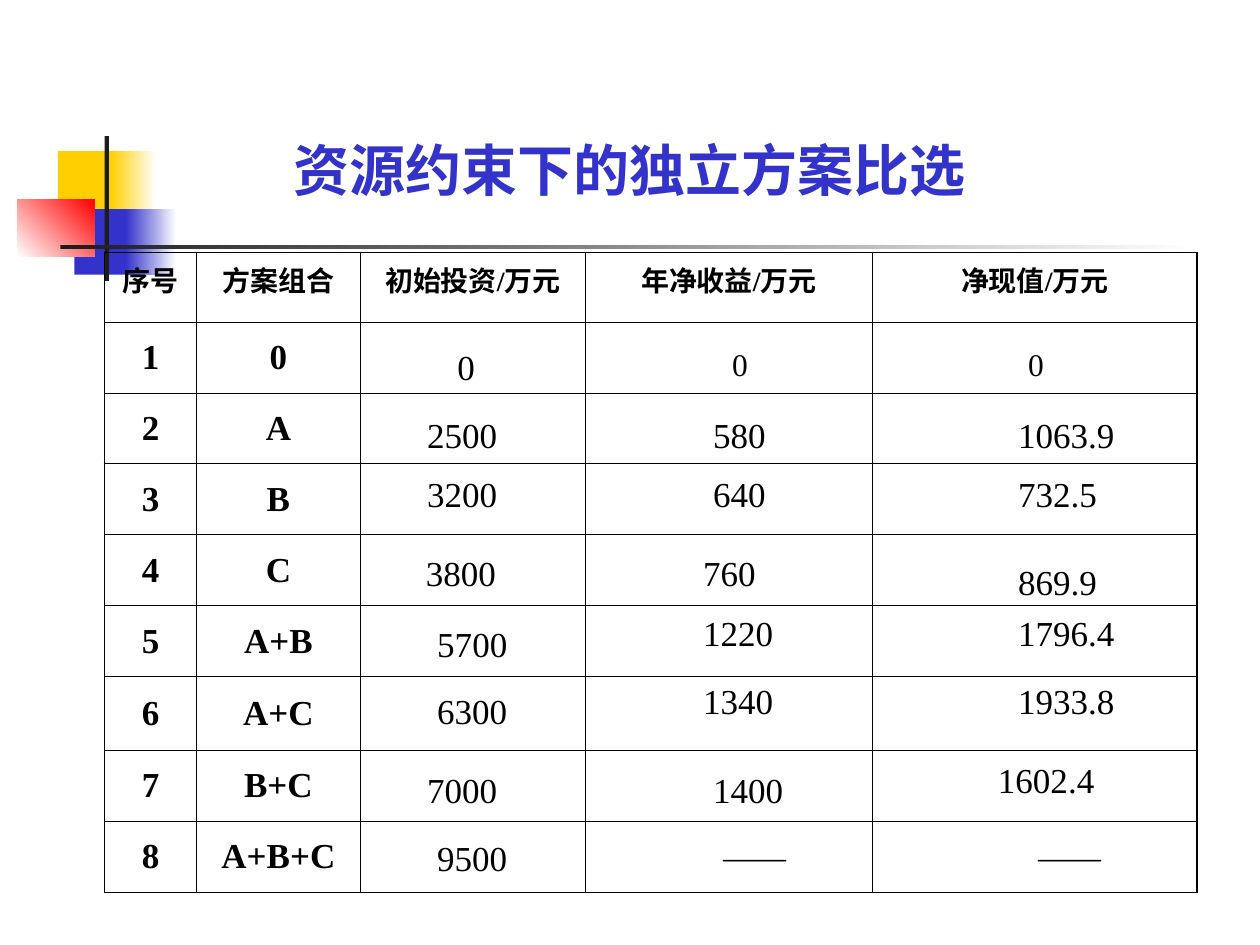
from lxml import etree
from pptx import Presentation
from pptx.dml.color import RGBColor
from pptx.enum.shapes import MSO_SHAPE
from pptx.enum.text import MSO_ANCHOR, MSO_AUTO_SIZE, PP_ALIGN
from pptx.oxml.ns import qn
from pptx.util import Inches, Pt

RECTANGLE = MSO_SHAPE.RECTANGLE
CENTER, LEFT = PP_ALIGN.CENTER, PP_ALIGN.LEFT
TOP, MIDDLE = MSO_ANCHOR.TOP, MSO_ANCHOR.MIDDLE
NO_AUTOFIT = MSO_AUTO_SIZE.NONE

THEME = {
    "font": "Times New Roman",
    "blue": "3333CC", "yellow": "FFCF01", "red": "FF0000",
    "dark": "1C1C1C", "white": "FFFFFF", "black": "000000",
    "title": 32, "header": 16, "body": 20, "small": 18,
    "outer_border": 1.08, "inner_border": 0.45,
}

presentation = Presentation()
presentation.slide_width, presentation.slide_height = Inches(10), Inches(7.5)
COLUMN = presentation.slide_width / 100
ROW = presentation.slide_height / 75
slide = presentation.slides.add_slide(presentation.slide_layouts[5])


def place(left, top, width, height):
    return [round(length) for length in
            (left * COLUMN, top * ROW, width * COLUMN, height * ROW)]


def write(frame, text, size, color="black", bold=False, align=LEFT):
    paragraph = frame.paragraphs[0]
    paragraph.text = text
    paragraph.alignment = align
    formats = {"name": THEME["font"], "size": Pt(THEME[size]), "bold": bold}
    for attribute, value in formats.items():
        setattr(paragraph.runs[0].font, attribute, value)
    paragraph.runs[0].font.color.rgb = RGBColor.from_string(THEME[color])


ornaments = [
    ((4.6, 12, 4.8, 5.2), ["yellow"], 0),
    ((8.8, 12, 3.6, 5.2), ["yellow", "white"], 0),
    ((5.9, 16.6, 4.6, 5.2), ["blue"], 0),
    ((10, 16.6, 4, 5.2), ["blue", "white"], 0),
    ((1.4, 15.8, 6.1, 4.6), ["white", "red"], 45),
    ((8.3, 10.8, 0.35, 11.5), ["dark"], 0),
    ((4.8, 19.45, 90, 0.35), ["dark", "white"], 0),
]
for box, colors, angle in ornaments:
    shape = slide.shapes.add_shape(RECTANGLE, *place(*box))
    shape.shadow.inherit = False
    shape.line.fill.background()
    if len(colors) == 1:
        shape.fill.solid()
        shape.fill.fore_color.rgb = RGBColor.from_string(THEME[colors[0]])
    else:
        shape.fill.gradient()
        shape.fill.gradient_angle = angle
        for stop, color in zip(shape.fill.gradient_stops, colors):
            stop.color.rgb = RGBColor.from_string(THEME[color])

title = slide.shapes.title
title.left, title.top, title.width, title.height = place(0, 10.2, 100, 6.4)
title.text_frame.auto_size = NO_AUTOFIT
title.text_frame.vertical_anchor = MIDDLE
write(title.text_frame, "资源约束下的独立方案比选", "title", "blue", True, CENTER)

headers = ["序号", "方案组合", "初始投资/万元", "年净收益/万元", "净现值/万元"]
combinations = ["0", "A", "B", "C", "A+B", "A+C", "B+C", "A+B+C"]
column_widths = [7.3, 13, 17.85, 22.8, 25.75]
row_heights = [5.5] + [5.63] * 5 + [5.87] + [5.63] * 2
cell_texts = [headers] + [[str(number), name, "", "", ""]
                          for number, name in enumerate(combinations, 1)]

table = slide.shapes.add_table(
    len(row_heights), len(column_widths),
    *place(8.3, 20.05, sum(column_widths), sum(row_heights))).table
table.first_row = False
table.horz_banding = False
for column, width in zip(table.columns, column_widths):
    column.width = round(width * COLUMN)
for row, height in zip(table.rows, row_heights):
    row.height = round(height * ROW)

last_row, last_column = len(row_heights) - 1, len(column_widths) - 1
for row_index, texts in enumerate(cell_texts):
    for column_index, text in enumerate(texts):
        cell = table.cell(row_index, column_index)
        cell.fill.background()
        cell.vertical_anchor = MIDDLE if row_index else TOP
        if text:
            write(cell.text_frame, text, "body" if row_index else "header",
                  bold=True, align=CENTER)
        outer_sides = {"lnL": column_index == 0, "lnR": column_index == last_column,
                       "lnT": row_index == 0, "lnB": row_index == last_row}
        properties = cell._tc.get_or_add_tcPr()
        for position, (side, is_outer) in enumerate(outer_sides.items()):
            weight = THEME["outer_border" if is_outer else "inner_border"]
            border = etree.Element(qn("a:" + side), w=str(Pt(weight)))
            solid = etree.SubElement(border, qn("a:solidFill"))
            etree.SubElement(solid, qn("a:srgbClr"), val=THEME["black"])
            properties.insert(position, border)

value_rows = [
    (3.9, [("0", 36.3, 27.4), ("0", 58.1, 27.4), ("0", 81.6, 27.4)]),
    (10.9, [("2500", 33.9, 32.8), ("580", 56.6, 32.8), ("1063.9", 80.8, 32.8)]),
    (7, [("3200", 33.9, 37.5), ("640", 56.6, 37.5), ("732.5", 80.8, 37.5)]),
    (8.6, [("3800", 33.8, 43.8), ("760", 55.8, 43.8), ("869.9", 80.8, 44.5)]),
    (10.9, [("5700", 34.7, 49.4), ("1220", 55.8, 48.5), ("1796.4", 80.8, 48.5)]),
    (9.4, [("6300", 34.7, 54.7), ("1340", 55.8, 53.9), ("1933.8", 80.8, 53.9)]),
    (7.9, [("7000", 33.9, 61), ("1400", 56.6, 61), ("1602.4", 79.2, 60.2)]),
    (7, [("9500", 34.7, 66.4), ("——", 57.4, 66.4), ("——", 82.4, 66.4)]),
]
frame_format = {"word_wrap": True, "margin_left": 0, "margin_top": 0,
                "margin_right": 0, "margin_bottom": 0}
for width, values in value_rows:
    for value_index, (text, left, top) in enumerate(values):
        size = "small" if value_index and text in ("0", "——") else "body"
        frame = slide.shapes.add_textbox(
            *place(left, top, width, THEME[size] / 6)).text_frame
        for attribute, value in frame_format.items():
            setattr(frame, attribute, value)
        write(frame, text, size)

presentation.save("out.pptx")
